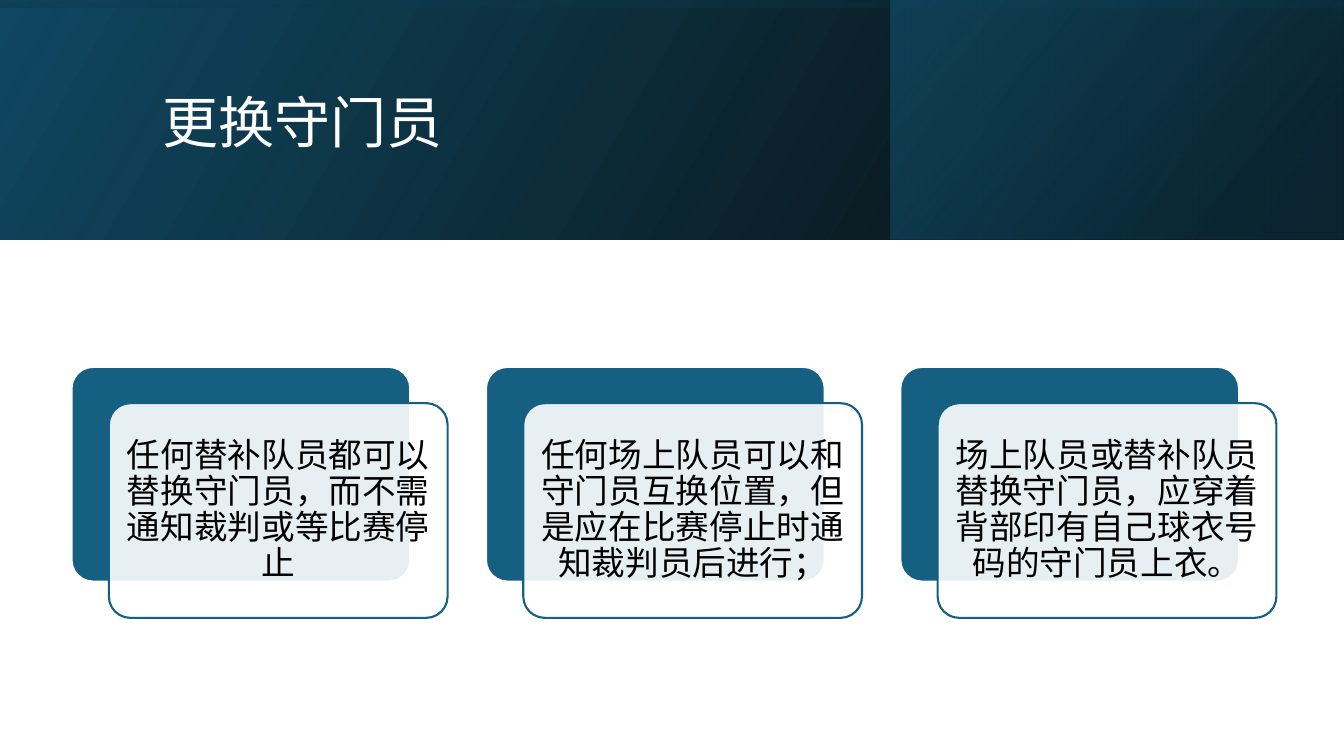
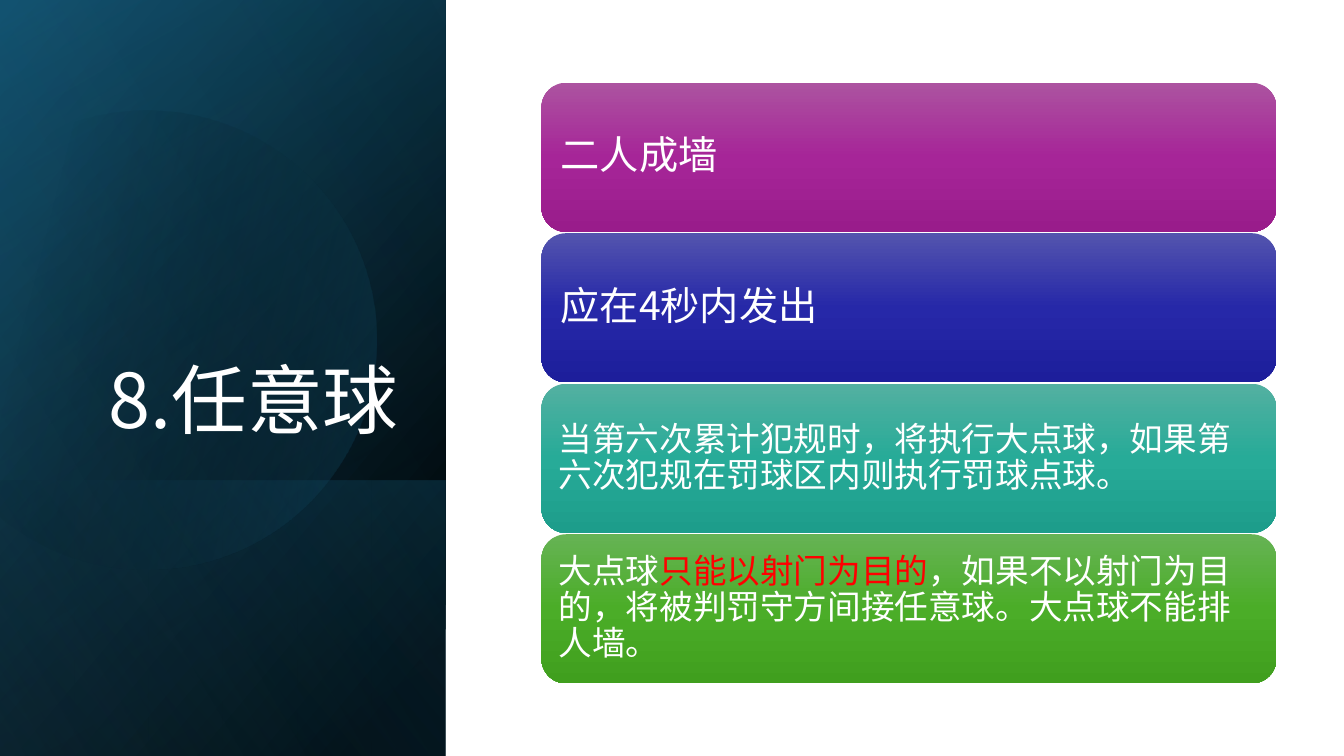
import math
from itertools import pairwise

from lxml import etree
from pptx import Presentation
from pptx.dml.color import RGBColor
from pptx.enum.shapes import MSO_SHAPE
from pptx.enum.text import MSO_ANCHOR, MSO_AUTO_SIZE, PP_ALIGN
from pptx.oxml.ns import qn
from pptx.util import Inches, Pt

RECT, ROUND = MSO_SHAPE.RECTANGLE, MSO_SHAPE.ROUNDED_RECTANGLE
LEFT, CENTER, RIGHT = PP_ALIGN.LEFT, PP_ALIGN.CENTER, PP_ALIGN.RIGHT
MIDDLE, BOTTOM = MSO_ANCHOR.MIDDLE, MSO_ANCHOR.BOTTOM
NO_FIT = MSO_AUTO_SIZE.NONE

FONT = "Noto Sans CJK SC"
WHITE = RGBColor(0xFF, 0xFF, 0xFF)
BLACK = RGBColor(0x00, 0x00, 0x00)
RED = RGBColor(0xFF, 0x00, 0x00)
TEAL = RGBColor(0x15, 0x60, 0x82)
DEEP_TEAL = RGBColor(0x10, 0x48, 0x62)
NAVY = RGBColor(0x0B, 0x30, 0x41)
SKY = RGBColor(0x46, 0xB1, 0xE1)
PURPLES = RGBColor(0xAC, 0x53, 0xA0), RGBColor(0xA6, 0x25, 0x98), RGBColor(0x99, 0x1C, 0x8B)
BLUES = RGBColor(0x53, 0x54, 0xAE), RGBColor(0x26, 0x28, 0xA8), RGBColor(0x1D, 0x1E, 0x9B)
AQUAS = RGBColor(0x53, 0xB0, 0xA1), RGBColor(0x27, 0xAB, 0x98), RGBColor(0x1D, 0x9D, 0x8B)
GREENS = RGBColor(0x66, 0xB3, 0x54), RGBColor(0x4B, 0xAD, 0x28), RGBColor(0x40, 0x9F, 0x1E)

SIDE_PANEL = -1.54, 1.54, 7.5, 4.42
CARDS = [
    "任何替补队员都可以替换守门员，而不需通知裁判或等比赛停止",
    "任何场上队员可以和守门员互换位置，但是应在比赛停止时通知裁判员后进行；",
    "场上队员或替补队员替换守门员，应穿着背部印有自己球衣号码的守门员上衣。",
]
BARS = [
    (PURPLES, 28, 0.12, [("二人成墙", WHITE)]),
    (BLUES, 28, 0.12, [("应在4秒内发出", WHITE)]),
    (AQUAS, 24, 0.1, [("当第六次累计犯规时，将执行大点球，如果第六次犯规在罚球区内则执行罚球点球。", WHITE)]),
    (GREENS, 24, 0.1, [
        ("大点球", WHITE),
        ("只能以射门为目的", RED),
        ("，如果不以射门为目的，将被判罚守方间接任意球。大点球不能排人墙。", WHITE),
    ]),
]


def set_alpha(color_element, percent):
    """Make a colour element partly transparent."""
    etree.SubElement(color_element, qn("a:alpha"), val=str(percent * 1000))


def set_gradient(sp, angle, stops):
    """Fill a shape with a linear gradient of (position, colour, opacity) stops."""
    sp.fill.background()
    sp_pr = sp.element.spPr
    grad = etree.Element(qn("a:gradFill"), rotWithShape="1")
    stop_list = etree.SubElement(grad, qn("a:gsLst"))
    for position, color, opacity in stops:
        gs = etree.SubElement(stop_list, qn("a:gs"), pos=str(position * 1000))
        clr = etree.SubElement(gs, qn("a:srgbClr"), val=str(color))
        if opacity < 100:
            set_alpha(clr, opacity)
    etree.SubElement(grad, qn("a:lin"), ang=str(angle * 60000), scaled="0")
    sp_pr.replace(sp_pr.find(qn("a:noFill")), grad)


def add_box(s, kind, box):
    """Add a preset shape with neither shadow nor outline."""
    sp = s.shapes.add_shape(kind, *map(Inches, box))
    sp.shadow.inherit = False
    sp.line.fill.background()
    return sp


def add_panel(s, box, angle, stops, rotation=0):
    """Add a mirrored gradient panel of the backdrop."""
    sp = add_box(s, RECT, box)
    sp.rotation = rotation
    sp.element.spPr.find(qn("a:xfrm")).set("flipH", "1")
    set_gradient(sp, angle, stops)


def arc_points(x, y, radius, start, end):
    """Return the two control points and the end point of a circular arc."""
    a, b = math.radians(start), math.radians(end)
    k = 4 / 3 * math.tan((b - a) / 4)
    units = [
        (math.cos(a) - k * math.sin(a), math.sin(a) + k * math.cos(a)),
        (math.cos(b) + k * math.sin(b), math.sin(b) - k * math.cos(b)),
        (math.cos(b), math.sin(b)),
    ]
    return [(Inches(x + radius * u), Inches(y + radius * v)) for u, v in units]


def add_disc(s, x, y, radius, angles):
    """Add the pale disc that the left slide edge cuts off."""
    start = arc_points(x, y, radius, angles[0], angles[0])[-1]
    builder = s.shapes.build_freeform(*start)
    for a, b in pairwise(angles):
        builder.add_line_segments(arc_points(x, y, radius, a, b), close=False)
    sp = builder.convert_to_shape()
    outline = next(sp.element.iter(qn("a:moveTo"))).getparent()
    lines = outline.findall(qn("a:lnTo"))
    for i in range(0, len(lines), 3):
        curve = etree.SubElement(outline, qn("a:cubicBezTo"))
        for line in lines[i:i + 3]:
            curve.append(line[0])
            outline.remove(line)
    etree.SubElement(outline, qn("a:close"))
    sp.shadow.inherit = False
    sp.line.fill.background()
    sp.rotation = 343.9
    set_gradient(sp, 30, [(29, BLACK, 0), (100, TEAL, 43)])


def write_text(sp, runs, size, align, anchor, inset=None):
    """Write one paragraph of (text, colour) runs into a shape."""
    tf = sp.text_frame
    tf.word_wrap = True
    tf.auto_size = NO_FIT
    tf.vertical_anchor = anchor
    if inset is not None:
        tf.margin_left = tf.margin_right = tf.margin_top = tf.margin_bottom = Inches(inset)
    p = tf.paragraphs[0]
    p.alignment = align
    p.line_spacing = 0.9
    for text, color in runs:
        r = p.add_run()
        r.text = text
        r.font.size = Pt(size)
        r.font.color.rgb = color
        r.font.name = FONT
        etree.SubElement(r.font._element, qn("a:ea"), typeface=FONT)


def add_title(s, text, box, size, align, anchor):
    """Place the title placeholder in front of the backdrop."""
    title = s.shapes.title
    title.left, title.top, title.width, title.height = map(Inches, box)
    write_text(title, [(text, WHITE)], size, align, anchor)
    title.element.getparent().append(title.element)


def add_card(s, x, y, text):
    """Add a text card over an offset solid plate."""
    w, h = 3.36, 2.13
    plate = add_box(s, ROUND, (x, y, w, h))
    card = add_box(s, ROUND, (x + 0.37, y + 0.36, w, h))
    for sp, fill, line in ((plate, TEAL, WHITE), (card, WHITE, TEAL)):
        sp.adjustments[0] = 0.1
        sp.fill.solid()
        sp.fill.fore_color.rgb = fill
        sp.line.color.rgb = line
        sp.line.width = Pt(1.5)
    set_alpha(card.element.spPr.find(qn("a:solidFill"))[0], 90)
    write_text(card, [(text, BLACK)], 24, CENTER, MIDDLE, 0.1)


def add_bar(s, y, colors, size, inset, runs):
    """Add a rounded gradient bar with text."""
    sp = add_box(s, ROUND, (5.37, y, 7.29, 1.48))
    set_gradient(sp, 90, [(i * 50, color, 100) for i, color in enumerate(colors)])
    write_text(sp, runs, size, LEFT, MIDDLE, inset)


def build_goalkeeper(s):
    """Build the slide on replacing the goalkeeper."""
    add_panel(s, (0, 0, 13.33, 2.38), 330, [(0, BLACK, 96), (100, DEEP_TEAL, 100)])
    add_panel(s, (8.83, 0, 4.49, 2.38), 320, [(19, NAVY, 68), (100, TEAL, 48)])
    add_panel(s, (5.48, -5.47, 2.37, 13.33), 350, [(23, DEEP_TEAL, 16), (99, BLACK, 45)], 270)
    add_title(s, "更换守门员", (1.51, 0.38, 10.63, 1.72), 40, LEFT, MIDDLE)
    for i, text in enumerate(CARDS):
        add_card(s, 0.71 + i * 4.11, 3.64, text)


def build_free_kick(s):
    """Build the slide on free kicks."""
    add_panel(s, SIDE_PANEL, 50, [(8, BLACK, 100), (100, DEEP_TEAL, 100)], 90)
    add_panel(s, SIDE_PANEL, 30, [(0, BLACK, 0), (99, TEAL, 46)], 90)
    add_panel(s, (0.84, 3.93, 2.74, 4.42), 130, [(2, TEAL, 29), (100, BLACK, 30)], 90)
    add_disc(s, 1.45, 3.33, 2.28, (-118, -90, 0, 90, 150))
    add_panel(s, SIDE_PANEL, 120, [(0, BLACK, 0), (99, SKY, 11)], 90)
    add_title(s, "8.任意球", (0.64, 1.84, 3.41, 2.62), 54, RIGHT, BOTTOM)
    for i, bar in enumerate(BARS):
        add_bar(s, 0.82 + i * 4.48 / 3, *bar)


def main():
    """Build and save the presentation."""
    prs = Presentation()
    prs.slide_width, prs.slide_height = Inches(13.33), Inches(7.5)
    for build in (build_goalkeeper, build_free_kick):
        build(prs.slides.add_slide(prs.slide_layouts[5]))
    prs.save("out.pptx")


if __name__ == "__main__":
    main()
